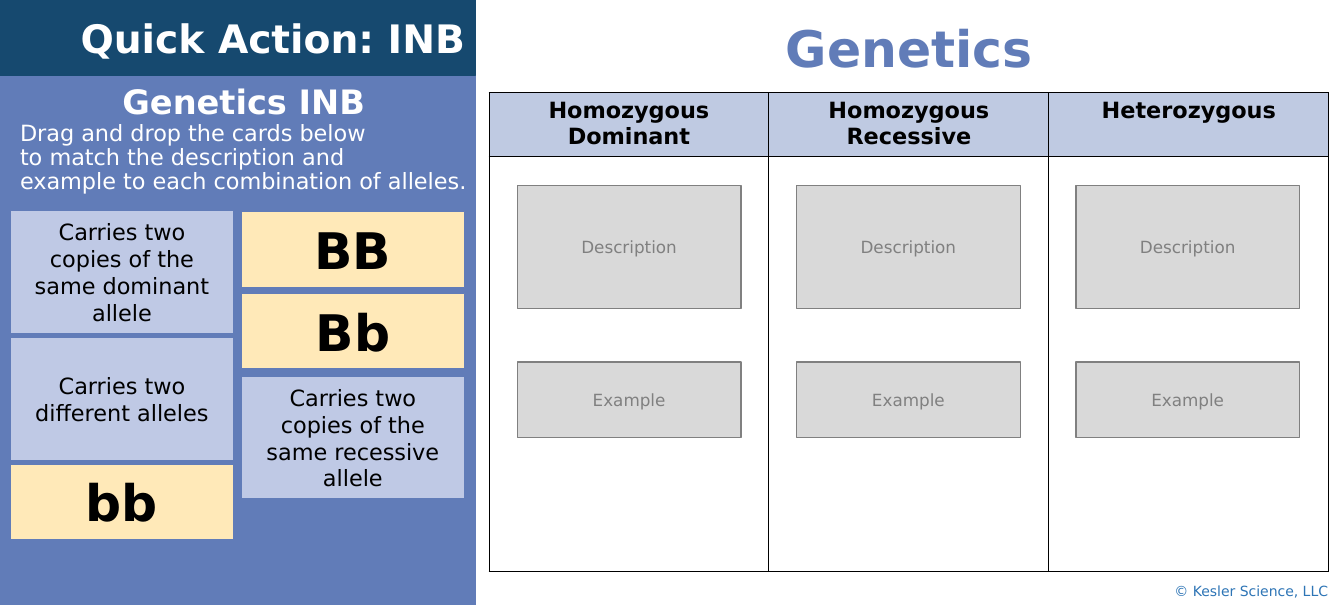
from lxml.etree import SubElement
from pptx import Presentation
from pptx.dml.color import RGBColor
from pptx.enum.shapes import MSO_SHAPE
from pptx.enum.text import MSO_ANCHOR, MSO_AUTO_SIZE, PP_ALIGN
from pptx.oxml import parse_xml
from pptx.oxml.ns import nsdecls, qn
from pptx.util import Inches, Pt

FONT = "DejaVu Sans"
BLUE, NAVY, PALE_BLUE, CREAM = "617CB8", "16496F", "BFC9E5", "FFE9B8"
WHITE, BLACK, LIGHT_GRAY, GRAY = "FFFFFF", "000000", "D9D9D9", "808080"


def style(para, text, size, color, bold=False, align=PP_ALIGN.CENTER):
    """Fill a paragraph with text in one font."""
    para.text = text
    para.alignment = align
    para.font.name = FONT
    para.font.size = Pt(size)
    para.font.bold = bold
    para.font.color.rgb = RGBColor.from_string(color)


def add_block(left, top, width, height, fill, line):
    """Add an outlined rectangle whose text is centred vertically."""
    block = page.shapes.add_shape(
        MSO_SHAPE.RECTANGLE, Inches(left), Inches(top), Inches(width), Inches(height))
    block.shadow.inherit = False
    block.fill.solid()
    block.fill.fore_color.rgb = RGBColor.from_string(fill)
    block.line.color.rgb = RGBColor.from_string(line)
    block.line.width = Pt(1)
    block.text_frame.word_wrap = True
    block.text_frame.vertical_anchor = MSO_ANCHOR.MIDDLE
    return block


deck = Presentation()
deck.slide_width, deck.slide_height = Inches(13.33), Inches(6)
page = deck.slides.add_slide(deck.slide_layouts[5])

# Title
title = page.shapes.title
title.left, title.top = Inches(4.71), Inches(0.02)
title.width, title.height = Inches(8.62), Inches(0.79)
frame = title.text_frame
frame.auto_size = MSO_AUTO_SIZE.NONE
frame.vertical_anchor = MSO_ANCHOR.BOTTOM
frame.margin_left = frame.margin_right = Inches(0.08)
frame.margin_top = frame.margin_bottom = Inches(0.04)
style(frame.paragraphs[0], "Genetics", 36, BLUE, bold=True)

# Side panel with its banner and instructions
add_block(0, 0, 4.71, 6, BLUE, BLUE)
banner = add_block(0, 0, 4.71, 0.75, NAVY, NAVY)
style(banner.text_frame.paragraphs[0], "Quick Action: INB", 28, WHITE, True, PP_ALIGN.RIGHT)

instructions = page.shapes.add_textbox(Inches(0.1), Inches(0.8), Inches(4.75), Inches(1.24))
frame = instructions.text_frame
frame.word_wrap = True
style(frame.paragraphs[0], "Genetics INB ", 24, WHITE, bold=True)
style(frame.add_paragraph(),
      "Drag and drop the cards below \vto match the description and \v"
      "example to each combination of alleles.", 16, WHITE, align=PP_ALIGN.LEFT)
for para in frame.paragraphs:
    para.line_spacing = 0.9

# Copyright line
credit = page.shapes.add_textbox(Inches(11.55), Inches(5.73), Inches(1.95), Inches(0.27))
credit.text_frame.word_wrap = True
style(credit.text_frame.paragraphs[0], "© Kesler Science, LLC", 10, "2E75B6",
      align=PP_ALIGN.LEFT)

# Sorting table
headings = ["Homozygous Dominant", "Homozygous Recessive", "Heterozygous"]
table = page.shapes.add_table(
    2, 3, Inches(4.85), Inches(0.92), Inches(8.33), Inches(4.74)).table
table.rows[0].height, table.rows[1].height = Inches(0.63), Inches(4.11)
for cell in table.iter_cells():
    properties = cell._tc.get_or_add_tcPr()
    for side in ("lnL", "lnR", "lnT", "lnB"):
        properties.append(parse_xml(
            f'<a:{side} {nsdecls("a")} w="{Pt(0.75)}"><a:solidFill>'
            f'<a:srgbClr val="{BLACK}"/></a:solidFill></a:{side}>'))
    cell.fill.solid()
    cell.fill.fore_color.rgb = RGBColor.from_string(WHITE)
for cell, heading in zip(table.rows[0].cells, headings):
    style(cell.text_frame.paragraphs[0], heading, 16, BLACK, bold=True)
    cell.fill.fore_color.rgb = RGBColor.from_string(BLUE)
    fill_color = cell._tc.tcPr.find(qn("a:solidFill")).find(qn("a:srgbClr"))
    SubElement(fill_color, qn("a:alpha")).set("val", "40000")

# Drop zones in each column
for column in range(len(headings)):
    for label, top, height in [("Example", 3.59, 0.75), ("Description", 1.84, 1.22)]:
        zone = add_block(5.13 + 2.77 * column, top, 2.22, height, LIGHT_GRAY, GRAY)
        style(zone.text_frame.paragraphs[0], label, 12, GRAY)

# Cards to drag
descriptions = [
    (0.1, 2.09, "Carries two copies of the same dominant allele"),
    (0.1, 3.35, "Carries two different alleles"),
    (2.39, 3.73, "Carries two copies of the same recessive allele"),
]
for left, top, text in descriptions:
    card = add_block(left, top, 2.22, 1.22, PALE_BLUE, BLUE)
    style(card.text_frame.paragraphs[0], text, 16, BLACK)

for left, top, alleles in [(2.39, 2.1, "BB"), (2.39, 2.91, "Bb"), (0.1, 4.6, "bb")]:
    card = add_block(left, top, 2.22, 0.75, CREAM, BLUE)
    style(card.text_frame.paragraphs[0], alleles, 36, BLACK, bold=True)

deck.save("out.pptx")
